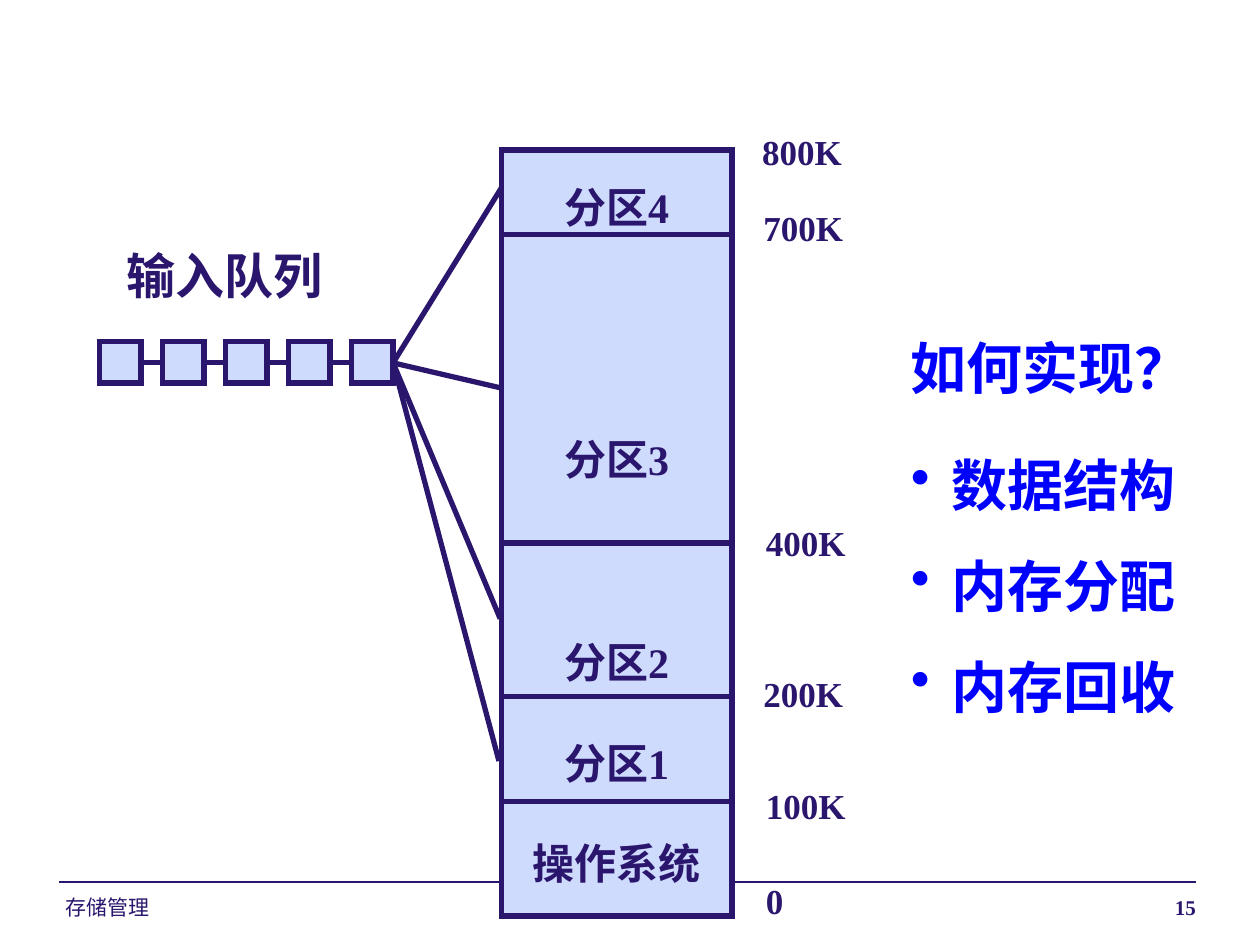
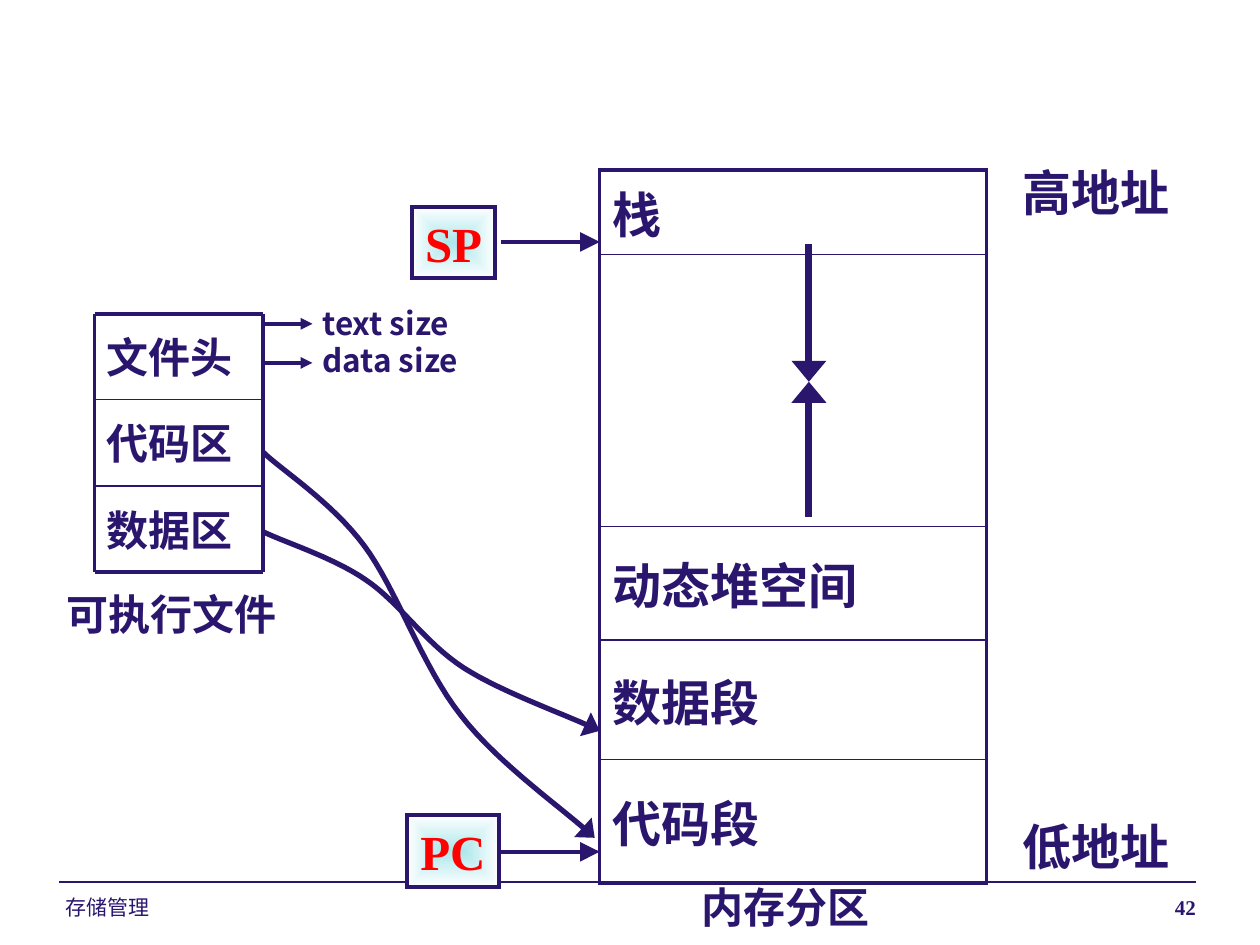
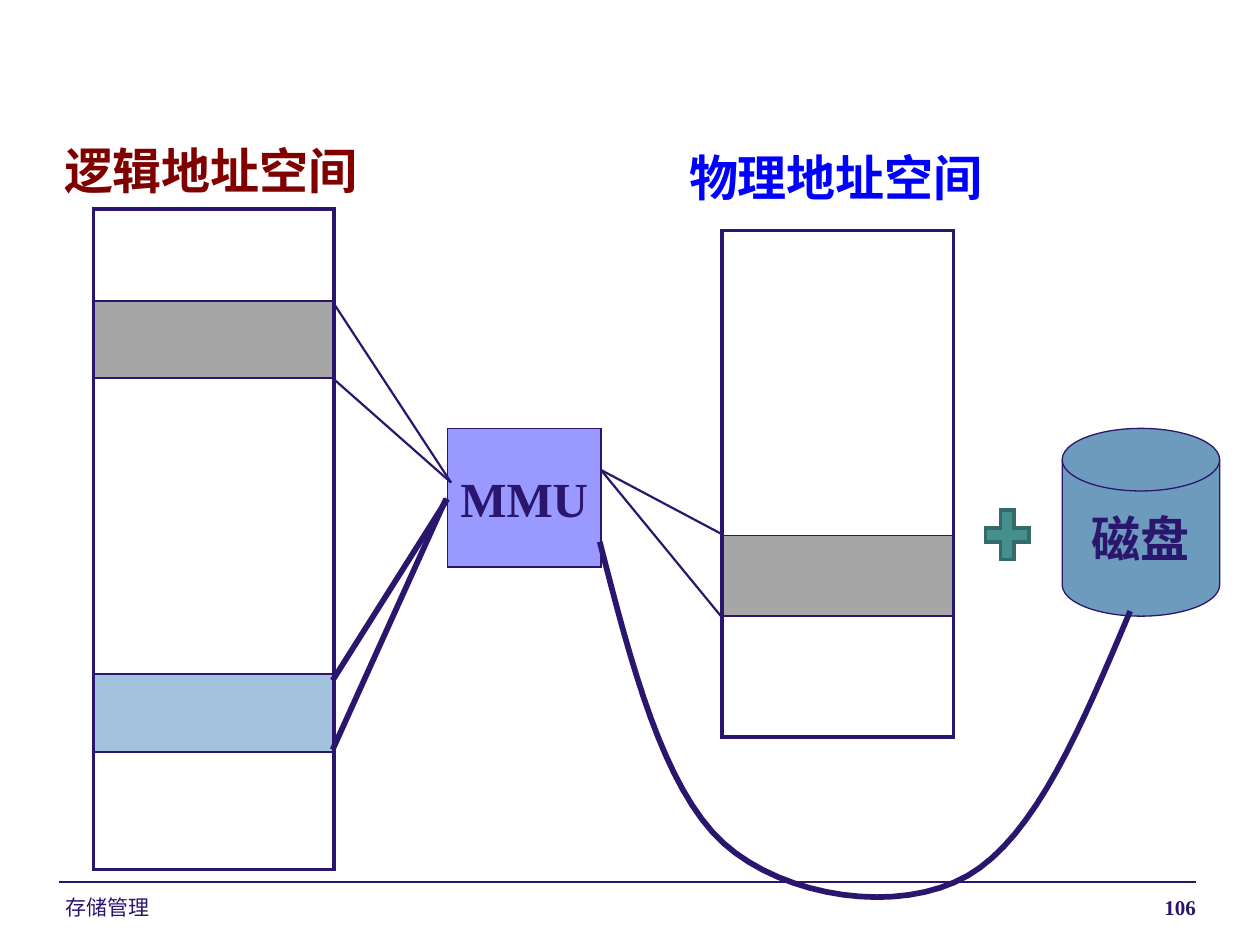
from lxml import etree
from pptx import Presentation
from pptx import util as u
from pptx.dml.color import RGBColor
from pptx.enum import shapes, text
from pptx.oxml import ns, parse_xml

C = {"ink": "2B166E", "pale": "CFDBFD", "blue": "0000FF", "red": "FF0000",
     "maroon": "800000", "teal": "ADE7EB", "white": "FFFFFF", "grey": "A6A6A6",
     "sky": "A3C2E0", "violet": "9999FF", "steel": "6C9BBE",
     "plus": "458F8F", "plus_edge": "336A6A"}
SERIF, SANS, ARIAL = "Times New Roman", "Noto Sans CJK SC", "Arial"
PRESET, ANCHOR, ALIGN = shapes.MSO_SHAPE, text.MSO_ANCHOR, text.PP_ALIGN
rgb = {name: RGBColor.from_string(value) for name, value in C.items()}
# Arrowheads: width, length
MEDIUM, WIDE, LARGE = ("med", "med"), ("lg", "med"), ("lg", "lg")


def write(s, box, words="", size=24, font=SERIF, color="ink", bold=True,
          align=ALIGN.LEFT, anchor=ANCHOR.TOP, wrap=False, preset=None,
          fill=None, edge="ink", width=0.75, spacing=None, bullet_from=None):
    """Add a text box, or a preset shape, holding one paragraph per line."""
    box = [u.Inches(v) for v in box]
    if preset:
        sp = s.shapes.add_shape(preset, *box)
        sp.shadow.inherit = False
        if fill:
            sp.fill.solid()
            sp.fill.fore_color.rgb = rgb[fill]
        sp.line.color.rgb = rgb[edge]
        sp.line.width = u.Pt(width)
        etree.SubElement(sp.line._get_or_add_ln(), ns.qn("a:miter")).set("lim", "800000")
    else:
        sp = s.shapes.add_textbox(*box)
    tf = sp.text_frame
    tf.word_wrap = wrap
    if not preset and not wrap:
        tf.auto_size = text.MSO_AUTO_SIZE.SHAPE_TO_FIT_TEXT
    tf.vertical_anchor = anchor
    for i, line in enumerate(words.split("\n") if words else []):
        p = tf.paragraphs[0] if i == 0 else tf.add_paragraph()
        p.alignment = align
        if spacing:
            p.line_spacing = spacing
        if bullet_from is not None:
            pPr = p._p.get_or_add_pPr()
            pPr.set("marL", str(u.Inches(0.32)))
            pPr.set("indent", str(u.Inches(-0.32)))
            if i >= bullet_from:
                etree.SubElement(pPr, ns.qn("a:buChar")).set("char", "•")
            if i == bullet_from:
                p.space_before = u.Pt(size * 0.3)
        r = p.add_run()
        r.text = line
        r.font.size, r.font.bold, r.font.name = u.Pt(size), bold, font
        r.font.color.rgb = rgb[color]
        etree.SubElement(r._r.get_or_add_rPr(), ns.qn("a:ea")).set("typeface", SANS)
    return sp


def stroke(sp, width, arrow=None):
    """Give a connector or an open outline its line, without a shadow."""
    sp.line.color.rgb = rgb["ink"]
    sp.line.width = u.Pt(width)
    if arrow:
        head = etree.SubElement(sp.line._get_or_add_ln(), ns.qn("a:tailEnd"))
        for key, value in zip(("type", "w", "len"), ("triangle", *arrow)):
            head.set(key, value)
    etree.SubElement(sp._element.spPr, ns.qn("a:effectLst"))


prs = Presentation()
prs.slide_width, prs.slide_height = u.Inches(10), u.Inches(7.5)

# Slides with their shared footer
for number in (15, 42, 106):
    s = prs.slides.add_slide(prs.slide_layouts[6])
    rule = s.shapes.add_connector(shapes.MSO_CONNECTOR.STRAIGHT, *map(u.Inches, (0.47, 7, 9.49, 7)))
    stroke(rule, 0.75)
    write(s, (0.42, 7.05, 2.33, 0.24), "存储管理", 12, ARIAL, bold=False, wrap=True)
    write(s, (6.42, 7.05, 3.17, 0.24), str(number), 12, align=ALIGN.RIGHT, wrap=True)
partitions, loading, mmu = prs.slides

# Partitions: memory column, its labels and addresses
s = partitions
write(s, (3.98, 1.19, 1.83, 6.08), preset=PRESET.RECTANGLE, fill="pale", width=3)
for label, middle in (("分区4", 1.64), ("分区3", 3.64), ("分区2", 5.25),
                      ("分区1", 6.05), ("操作系统", 6.85)):
    write(s, (3.98, middle - 0.25, 1.83, 0.5), label, align=ALIGN.CENTER,
          anchor=ANCHOR.MIDDLE, wrap=True)
for address, x, y in (("800K", 5.95, 0.99), ("700K", 5.96, 1.59), ("400K", 5.98, 4.09),
                      ("200K", 5.96, 5.29), ("100K", 5.98, 6.18), ("0", 5.98, 6.93)):
    write(s, (x, y, 0.9, 0.43), address, 20, wrap=True)

# Partitions: input queue and questions
write(s, (0.91, 1.9, 1.76, 0.57), "输入队列", 28)
queue = [0.79 + 0.5 * i for i in range(5)]
for x in queue:
    write(s, (x, 2.71, 0.33, 0.33), preset=PRESET.RECTANGLE, fill="pale", width=3)
write(s, (7.13, 2.33, 2.58, 3.39), "如何实现？\n数据结构\n内存分配\n内存回收", 32, SANS, "blue",
      spacing=1.5, bullet_from=1)

# Loading: file parts, captions and registers
s = loading
file_rows = [2.49, 3.17, 3.86, 4.54]
for y, part in zip(file_rows, ("文件头", "代码区", "数据区")):
    write(s, (0.75, y, 1.34, 0.68), part, font=SANS, anchor=ANCHOR.MIDDLE, wrap=True)
for box, words, size in (((8.02, 6.43, 1.58, 0.57), "低地址", 28),
                         ((8.02, 1.24, 1.58, 0.57), "高地址", 28),
                         ((0.43, 4.62, 1.88, 0.5), "可执行文件", 24),
                         ((5.47, 6.95, 1.54, 0.5), "内存分区", 24),
                         ((2.46, 2.36, 1.32, 0.71), "text size\ndata size", 18)):
    write(s, box, words, size, SANS, wrap=True)
for box, register in (((3.27, 1.64, 0.66, 0.57), "SP"), ((3.23, 6.47, 0.73, 0.57), "PC")):
    sp = write(s, box, register, 28, color="red", align=ALIGN.CENTER, anchor=ANCHOR.MIDDLE,
               preset=PRESET.RECTANGLE, width=2.25)
    sp.fill.gradient()
    for stop, position, name in zip(sp.fill.gradient_stops, (0, 1), ("teal", "white")):
        stop.position, stop.color.rgb = position, rgb[name]
    grad = sp._element.spPr.find(ns.qn("a:gradFill"))
    grad.replace(grad.find(ns.qn("a:lin")), parse_xml(
        f'<a:path {ns.nsdecls("a")} path="shape">'
        '<a:fillToRect l="50000" t="50000" r="50000" b="50000"/></a:path>'))

# MMU: headings, unit, disk and plus sign
s = mmu
write(s, (0.41, 1.07, 2.55, 0.57), "逻辑地址空间", 28, SANS, "maroon")
write(s, (5.37, 1.12, 2.55, 0.57), "物理地址空间", 28, SANS, "blue")
centred = dict(align=ALIGN.CENTER, anchor=ANCHOR.MIDDLE)
write(s, (3.55, 3.4, 1.22, 1.1), "MMU", 28, preset=PRESET.RECTANGLE, fill="violet", **centred)
write(s, (8.43, 3.4, 1.25, 1.49), "磁盘", 28, SANS, preset=PRESET.FLOWCHART_MAGNETIC_DISK,
      fill="steel", **centred)
write(s, (7.76, 3.98, 0.47, 0.53), preset=PRESET.MATH_PLUS, fill="plus", edge="plus_edge", width=2)

# Address spaces as one-column tables: (row height, words, fill)
tables = [
    (loading, 4.76, 1.35, 3.07, [(0.67, "栈", None), (2.16, "", None), (0.9, "动态堆空间", None),
                                 (0.95, "数据段", None), (0.98, "代码段", None)]),
    (mmu, 0.74, 1.66, 1.91, [(0.73, "", None), (0.61, "", "grey"), (2.35, "", None),
                             (0.62, "", "sky"), (0.93, "", None)]),
    (mmu, 5.73, 1.83, 1.84, [(2.42, "", None), (0.64, "", "grey"), (0.96, "", None)]),
]
for s, x, y, w, rows in tables:
    height = sum(row[0] for row in rows)
    tbl = s.shapes.add_table(len(rows), 1, *map(u.Inches, (x, y, w, height))).table
    tbl.first_row = tbl.horz_banding = False
    for i, (h, words, fill) in enumerate(rows):
        tbl.rows[i].height = u.Inches(h)
        cell = tbl.cell(i, 0)
        cell.vertical_anchor = ANCHOR.MIDDLE if i else ANCHOR.TOP
        top = 1 if i else 2.25
        bottom = 2.25 if i == len(rows) - 1 else 1
        for side, width in zip("LRTB", (2.25, 2.25, top, bottom)):
            cell._tc.get_or_add_tcPr().append(parse_xml(
                f'<a:ln{side} {ns.nsdecls("a")} w="{u.Pt(width)}"><a:solidFill>'
                f'<a:srgbClr val="{C["ink"]}"/></a:solidFill></a:ln{side}>'))
        if fill:
            cell.fill.solid()
            cell.fill.fore_color.rgb = rgb[fill]
        else:
            cell.fill.background()
        if words:
            r = cell.text_frame.paragraphs[0].add_run()
            r.text = words
            r.font.size, r.font.bold, r.font.name = u.Pt(28), True, SANS
            r.font.color.rgb = rgb["ink"]
            etree.SubElement(r._r.get_or_add_rPr(), ns.qn("a:ea")).set("typeface", SANS)

# Straight lines: slide, width, arrow, ends
lines = [
    (partitions, 3, None, [(3.98, y, 5.81, y) for y in (1.86, 4.31, 5.53, 6.36)]
     + [(x + 0.33, 2.88, x + 0.5, 2.88) for x in queue[:-1]]
     + [(x, y, 3.12, 2.88) for x, y in ((3.98, 1.49), (3.98, 3.08), (3.97, 4.91), (3.96, 6.04))]),
    (loading, 4, WIDE, [(6.42, 4.1, 6.42, 3.03), (6.42, 1.94, 6.42, 3.03)]),
    (loading, 2.25, None, [(0.75, y, 2.09, y) for y in (file_rows[0], file_rows[-1])]
     + [(x, file_rows[0], x, file_rows[-1]) for x in (0.75, 2.09)]),
    (loading, 1, None, [(0.75, y, 2.09, y) for y in file_rows[1:-1]]),
    (loading, 2.25, MEDIUM, [(2.09, y, 2.48, y) for y in (2.57, 2.88)]),
    (loading, 2.25, LARGE, [(3.98, y, 4.76, y) for y in (1.92, 6.76)]),
    (mmu, 1.25, None, [(2.65, 2.41, 3.58, 3.83), (2.65, 3.01, 3.58, 3.83),
                       (4.77, 3.73, 5.73, 4.24), (4.77, 3.73, 5.73, 4.9)]),
    (mmu, 3.25, None, [(2.64, 5.4, 3.55, 3.96), (2.64, 5.95, 3.54, 3.96)]),
]
for s, width, arrow, ends in lines:
    for end in ends:
        stroke(s.shapes.add_connector(shapes.MSO_CONNECTOR.STRAIGHT, *map(u.Inches, end)),
               width, arrow)

# Curves: a start point, then three Bezier points for each piece
curves = [
    (loading, 3, WIDE, [(2.09, 3.59), (2.22, 3.72), (2.63, 3.98), (2.89, 4.33), (3.15, 4.68),
                        (3.35, 5.29), (3.66, 5.68), (3.96, 6.07), (4.5, 6.44), (4.72, 6.65)]),
    (loading, 3, WIDE, [(2.09, 4.22), (2.22, 4.29), (2.64, 4.42), (2.9, 4.6), (3.17, 4.78),
                        (3.37, 5.1), (3.68, 5.3), (3.99, 5.5), (4.54, 5.69), (4.76, 5.8)]),
    (mmu, 3.25, None, [(4.76, 4.3), (5.01, 5.27), (5.26, 6.25), (5.74, 6.69), (6.23, 7.13),
                       (7.14, 7.26), (7.68, 6.95), (8.22, 6.64), (8.59, 5.75), (8.97, 4.85)]),
]
STEPS = 16
for s, width, arrow, pts in curves:
    track = []
    for k in range(0, len(pts) - 1, 3):
        for t in (n / STEPS for n in range(1, STEPS + 1)):
            weights = ((1 - t) ** 3, 3 * t * (1 - t) ** 2, 3 * t * t * (1 - t), t ** 3)
            track.append([u.Inches(sum(m * pt[axis] for m, pt in zip(weights, pts[k:k + 4])))
                          for axis in (0, 1)])
    fb = s.shapes.build_freeform(*map(u.Inches, pts[0]))
    fb.add_line_segments(track, close=False)
    sp = fb.convert_to_shape()
    sp.fill.background()
    stroke(sp, width, arrow)

prs.save("out.pptx")
